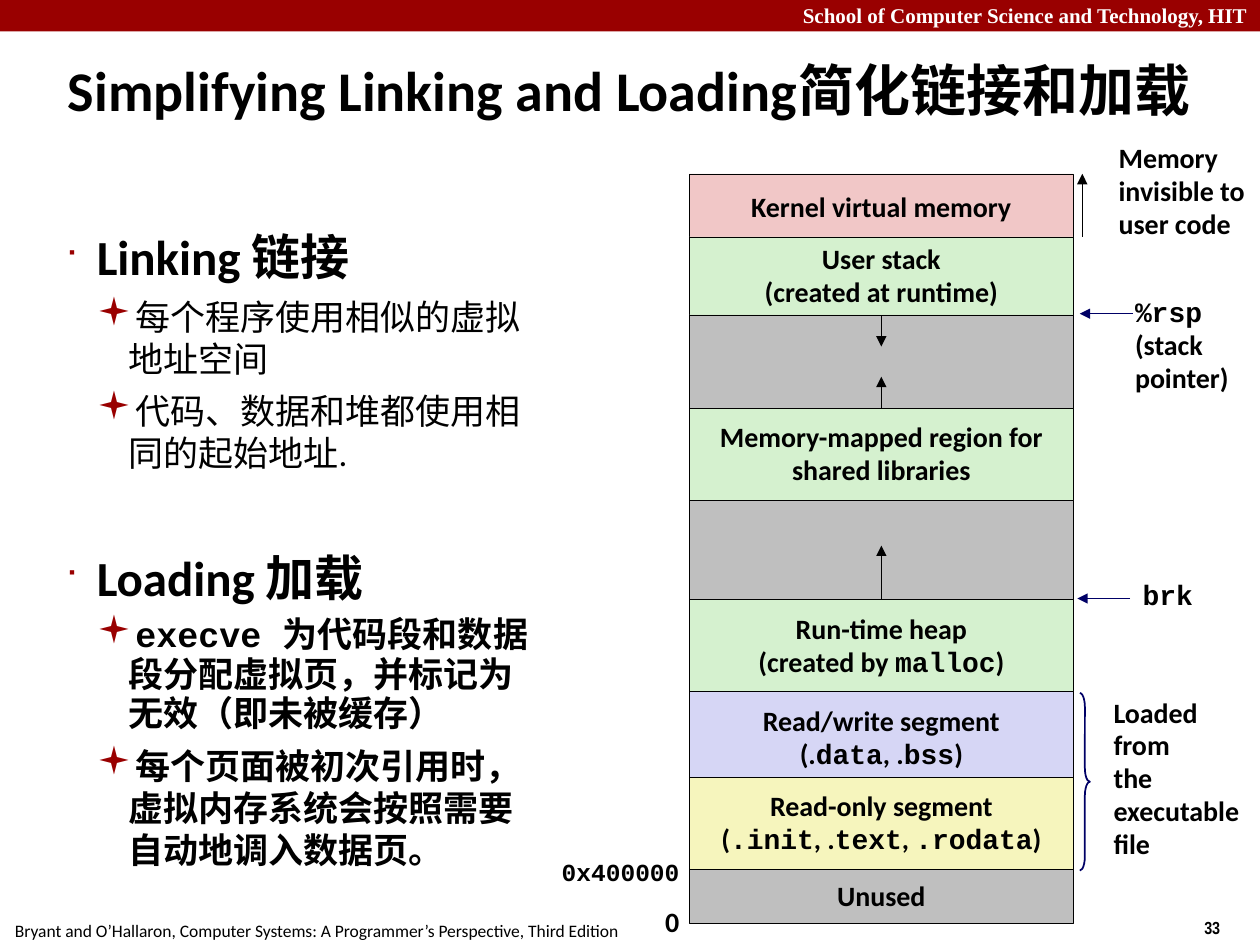
from dataclasses import dataclass

import lxml.etree
import pptx
import pptx.dml.color
import pptx.enum.shapes
import pptx.enum.text
import pptx.oxml.ns
import pptx.util

Inches = pptx.util.Inches
Pt = pptx.util.Pt
RGBColor = pptx.dml.color.RGBColor
Align = pptx.enum.text.PP_ALIGN
Anchor = pptx.enum.text.MSO_ANCHOR
Preset = pptx.enum.shapes.MSO_SHAPE
qn = pptx.oxml.ns.qn

BLACK = RGBColor(0x00, 0x00, 0x00)
WHITE = RGBColor(0xFF, 0xFF, 0xFF)
CRIMSON = RGBColor(0x99, 0x00, 0x00)
NAVY = RGBColor(0x00, 0x00, 0x66)
PINK = RGBColor(0xF1, 0xC7, 0xC7)
GREEN = RGBColor(0xD5, 0xF1, 0xCF)
GRAY = RGBColor(0xBF, 0xBF, 0xBF)
LILAC = RGBColor(0xD6, 0xD6, 0xF5)
YELLOW = RGBColor(0xF6, 0xF5, 0xBD)

SANS = "Calibri"
CODE = "Courier New"
STACK_LEFT, STACK_WIDTH = 5.47, 3.05
STACK_MIDDLE = STACK_LEFT + STACK_WIDTH / 2


@dataclass
class Run:
    text: str
    font: str = SANS
    bold: bool = True


@dataclass
class Line:
    runs: list[Run]
    spacing: float = 0.98


@dataclass
class Segment:
    top: float
    height: float
    fill: RGBColor
    lines: list[Line]


@dataclass
class Label:
    left: float
    top: float
    width: float
    height: float
    lines: list[Line]
    size: float = 16
    color: RGBColor = BLACK
    align: Align = Align.LEFT
    anchor: Anchor = Anchor.TOP
    wrap: bool = False


@dataclass
class Point:
    runs: list[Run]
    level: int = 1
    before: float = 5.6
    spacing: float = 1.0


@dataclass
class Arrow:
    start: tuple[float, float]
    end: tuple[float, float]
    color: RGBColor = BLACK


def plain(*texts: str) -> list[Line]:
    return [Line([Run(text)]) for text in texts]


def add_run(paragraph, run: Run, size: float, color: RGBColor) -> None:
    piece = paragraph.add_run()
    piece.text = run.text
    piece.font.name = run.font
    piece.font.size = Pt(size)
    piece.font.bold = run.bold
    piece.font.color.rgb = color


def write_lines(frame, lines: list[Line], size: float, color: RGBColor, align: Align) -> None:
    for index, line in enumerate(lines):
        paragraph = frame.paragraphs[0] if index == 0 else frame.add_paragraph()
        paragraph.alignment = align
        paragraph.line_spacing = line.spacing
        for run in line.runs:
            add_run(paragraph, run, size, color)


def add_label(slide, label: Label) -> None:
    box = slide.shapes.add_textbox(
        Inches(label.left), Inches(label.top), Inches(label.width), Inches(label.height))
    box.text_frame.word_wrap = label.wrap
    box.text_frame.vertical_anchor = label.anchor
    write_lines(box.text_frame, label.lines, label.size, label.color, label.align)


def add_block(slide, left: float, top: float, width: float, height: float, fill: RGBColor):
    block = slide.shapes.add_shape(
        Preset.RECTANGLE, Inches(left), Inches(top), Inches(width), Inches(height))
    block.shadow.inherit = False
    block.fill.solid()
    block.fill.fore_color.rgb = fill
    block.line.fill.background()
    return block


def add_segment(slide, segment: Segment):
    block = add_block(slide, STACK_LEFT, segment.top, STACK_WIDTH, segment.height, segment.fill)
    block.line.color.rgb = BLACK
    block.line.width = Pt(0.25)
    block.text_frame.word_wrap = False
    block.text_frame.vertical_anchor = Anchor.MIDDLE
    write_lines(block.text_frame, segment.lines, 16, BLACK, Align.CENTER)
    return block


def add_arrow(slide, arrow: Arrow):
    connector = slide.shapes.add_connector(
        pptx.enum.shapes.MSO_CONNECTOR.STRAIGHT,
        *(Inches(value) for value in arrow.start + arrow.end))
    connector.line.color.rgb = arrow.color
    connector.line.width = Pt(0.25)
    lxml.etree.SubElement(connector.line._get_or_add_ln(), qn("a:tailEnd"), type="triangle")
    lxml.etree.SubElement(connector._element.spPr, qn("a:effectLst"))
    return connector


def add_point(paragraph, point: Point) -> None:
    mark, percent, size = [("■", 60, 28), ("▪", 110, 20)][point.level]
    properties = paragraph._p.get_or_add_pPr()
    properties.set("marL", str(Inches(0.25 * (point.level + 1))))
    properties.set("indent", str(Inches(-0.25)))
    bullet_color = lxml.etree.SubElement(properties, qn("a:buClr"))
    lxml.etree.SubElement(bullet_color, qn("a:srgbClr"), val=str(CRIMSON))
    lxml.etree.SubElement(properties, qn("a:buSzPct"), val=str(percent * 1000))
    lxml.etree.SubElement(properties, qn("a:buFont"), typeface="Wingdings", charset="2")
    lxml.etree.SubElement(properties, qn("a:buChar"), char=mark)
    paragraph.level = point.level
    paragraph.space_before = Pt(point.before)
    paragraph.line_spacing = point.spacing
    for run in point.runs:
        add_run(paragraph, run, size, BLACK)


SEGMENTS = {
    "kernel": Segment(1.38, 0.53, PINK, plain("Kernel virtual memory")),
    "stack": Segment(1.88, 0.62, GREEN, plain("User stack", "(created at runtime)")),
    "upper gap": Segment(2.5, 0.74, GRAY, []),
    "mapped": Segment(3.24, 0.73, GREEN, plain("Memory-mapped region for", "shared libraries")),
    "lower gap": Segment(3.97, 0.79, GRAY, []),
    "heap": Segment(4.76, 0.73, GREEN, plain("Run-time heap") + [
        Line([Run("(created by "), Run("malloc", CODE), Run(")")])]),
    "read/write": Segment(5.49, 0.73, LILAC, plain("Read/write segment") + [
        Line([Run("(."), Run("data", CODE), Run(", ."), Run("bss", CODE), Run(")")])]),
    "read-only": Segment(6.17, 0.73, YELLOW, plain("Read-only segment") + [
        Line([Run("("), Run(".init", CODE), Run(", ."), Run("text", CODE), Run(", "),
              Run(".rodata", CODE), Run(")")])]),
    "unused": Segment(6.9, 0.43, GRAY, plain("Unused")),
}

LABELS = [
    Label(9.46, 7.23, 0.4, 0.27, [Line([Run("33", "Arial Narrow")], 1)], 10),
    Label(0.02, 7.25, 5.01, 0.27, [Line([Run(
        "Bryant and O’Hallaron, Computer Systems: A Programmer’s Perspective, Third Edition",
        bold=False)], 1)], 10),
    Label(0, -0.03, 10, 0.3, [Line([Run(
        "School of Computer Science and Technology, HIT", "Times New Roman")], 1)],
        12, WHITE, Align.RIGHT, wrap=True),
    Label(0.44, 0.28, 9.42, 0.86, [Line([Run("Simplifying Linking and Loading简化链接和加载")], 1)],
          32, anchor=Anchor.MIDDLE, wrap=True),
    Label(5.18, 7.14, 0.31, 0.36, plain("0")),
    Label(8.91, 2.31, 0.95, 0.88, [Line([Run("%rsp", CODE)], 0.94)] + plain("(stack", "pointer)")),
    Label(8.78, 1.08, 1.2, 0.89, plain("Memory", "invisible to", "user code")),
    Label(8.97, 4.56, 0.6, 0.35, [Line([Run("brk", CODE)], 0.94)]),
    Label(4.36, 6.77, 1.2, 0.32, [Line([Run("0x400000", CODE)], 0.94)], 14),
    Label(8.74, 5.48, 1.26, 1.41, plain("Loaded", "from", "the", "executable", "file")),
]

POINTS = [
    Point([Run("Linking 链接")], 0, 0),
    Point([Run("每个程序使用相似的虚拟地址空间", bold=False)]),
    Point([Run("代码、数据和堆都使用相同的起始地址.", bold=False)]),
    Point([Run("Loading 加载")], 0, 42.5),
    Point([Run("execve ", CODE), Run("为代码段和数据段分配虚拟页，并标记为无效（即未被缓存）")],
          spacing=0.94),
    Point([Run("每个页面被初次引用时，虚拟内存系统会按照需要自动地调入数据页。")]),
]

POINTERS = [
    Arrow((8.99, 2.49), (8.57, 2.49), NAVY),
    Arrow((8.97, 4.75), (8.55, 4.75), NAVY),
    Arrow((8.59, 1.88), (8.59, 1.38)),
]

GROWTH = [("stack", 2, 2.5, 2.75), ("mapped", 0, 3.24, 2.99), ("heap", 0, 4.76, 4.33)]


def main() -> None:
    deck = pptx.Presentation()
    deck.slide_width, deck.slide_height = Inches(10), Inches(7.5)
    slide = deck.slides.add_slide(deck.slide_layouts[6])

    add_block(slide, 0, 0, 10, 0.25, CRIMSON)
    blocks = {name: add_segment(slide, segment) for name, segment in SEGMENTS.items()}
    for name, side, start, end in GROWTH:
        arrow = add_arrow(slide, Arrow((STACK_MIDDLE, start), (STACK_MIDDLE, end)))
        arrow.begin_connect(blocks[name], side)
    for pointer in POINTERS:
        add_arrow(slide, pointer)

    brace = slide.shapes.add_shape(
        Preset.RIGHT_BRACE, Inches(8.57), Inches(5.5), Inches(0.08), Inches(1.41))
    brace.adjustments[0] = 1.38
    brace.shadow.inherit = False
    brace.fill.background()
    brace.line.color.rgb = NAVY
    brace.line.width = Pt(1)

    for label in LABELS:
        add_label(slide, label)

    outline = slide.shapes.add_textbox(Inches(0.42), Inches(1.75), Inches(3.94), Inches(5.23))
    outline.text_frame.word_wrap = True
    for index, point in enumerate(POINTS):
        frame = outline.text_frame
        add_point(frame.paragraphs[0] if index == 0 else frame.add_paragraph(), point)

    deck.save("out.pptx")


if __name__ == "__main__":
    main()
